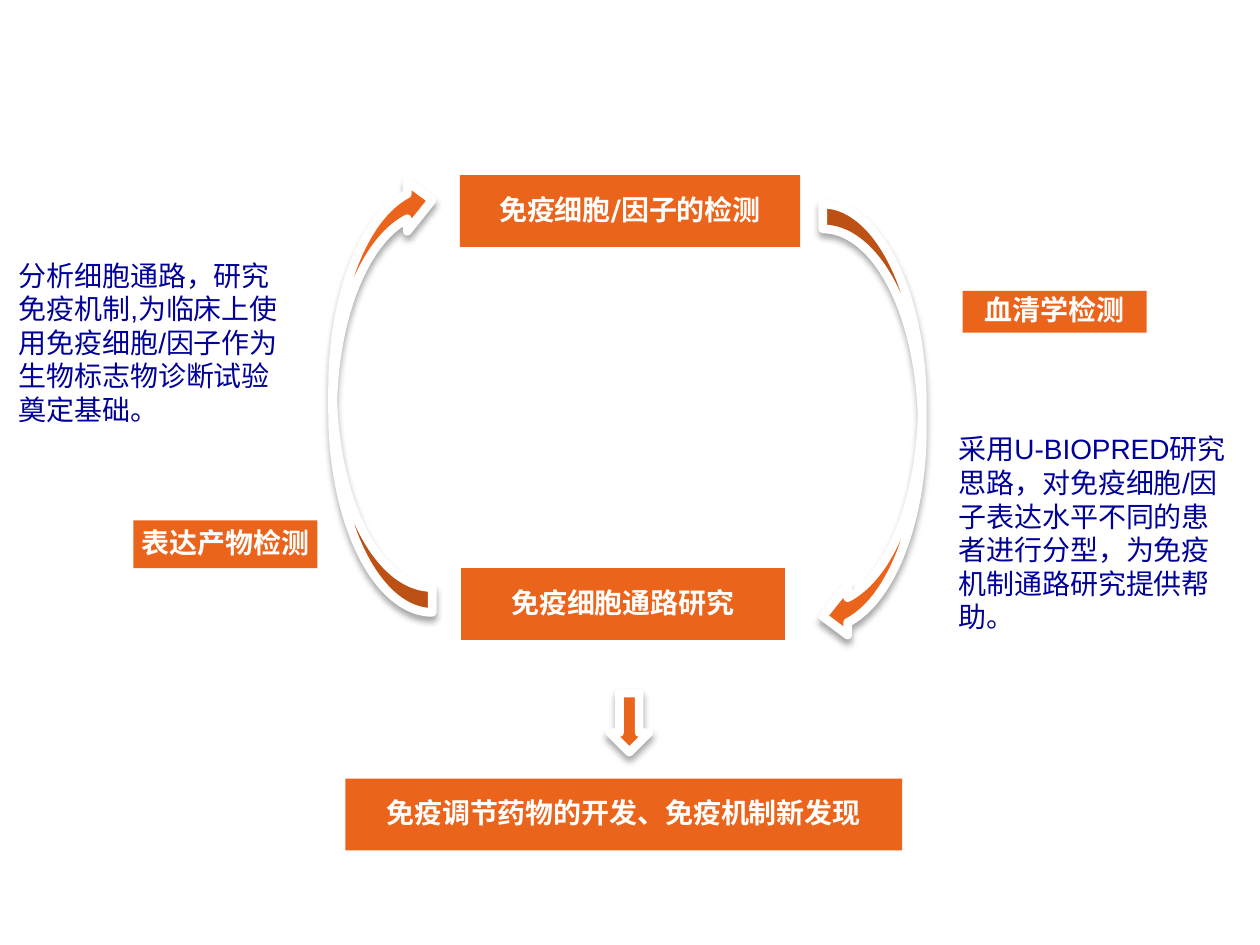
from typing import NamedTuple

from lxml.etree import SubElement
from pptx import Presentation
from pptx.dml.color import RGBColor
from pptx.enum.shapes import MSO_SHAPE as Shape
from pptx.enum.text import MSO_ANCHOR as Anchor, MSO_AUTO_SIZE as Auto, PP_ALIGN as Align
from pptx.oxml.ns import qn
from pptx.util import Inches, Pt

ORANGE, WHITE, NAVY, BLACK = "EB641B", "FFFFFF", "000099", "000000"


class Item(NamedTuple):
    x: float
    y: float
    w: float
    h: float
    text: str = ""


class Arrow(NamedTuple):
    kind: Shape
    x: float
    y: float
    w: float
    h: float
    turn: int = 0


BOXES = [
    Item(3.65, 1.39, 2.7, 0.57, "免疫细胞/因子的检测"),
    Item(3.66, 4.51, 2.57, 0.57, "免疫细胞通路研究"),
    Item(2.74, 6.18, 4.42, 0.57, "免疫调节药物的开发、免疫机制新发现"),
    Item(7.64, 2.31, 1.46, 0.33, "血清学检测"),
    Item(1.06, 4.13, 1.46, 0.38, "表达产物检测"),
]
ARROWS = [
    Arrow(Shape.CURVED_LEFT_ARROW, 2.64, 1.39, 0.79, 3.47, 180),
    Arrow(Shape.CURVED_LEFT_ARROW, 6.53, 1.62, 0.79, 3.47),
    Arrow(Shape.DOWN_ARROW, 4.84, 5.5, 0.31, 0.47),
]
NOTES = [
    Item(7.51, 3.38, 2.38, 1.7,
         "采用U-BIOPRED研究思路，对免疫细胞/因子表达水平不同的患者进行分型，为免疫机制通路研究提供帮助。"),
    Item(0.05, 2, 2.38, 1.43,
         "分析细胞通路，研究免疫机制,为临床上使用免疫细胞/因子作为生物标志物诊断试验奠定基础。"),
]

BOX_FONT = {"name": "DejaVu Sans", "size": Pt(16), "bold": True}
NOTE_FONT = {"name": "Arial", "size": Pt(16)}
BOX_FRAME = {
    "word_wrap": True, "vertical_anchor": Anchor.MIDDLE,
    **{f"margin_{side}": Inches(0.02) for side in ("left", "top", "right", "bottom")},
}
NOTE_FRAME = {"word_wrap": True, "auto_size": Auto.SHAPE_TO_FIT_TEXT}
BOX_PARA = {"alignment": Align.CENTER, "line_spacing": 0.9, "space_after": Pt(5.6)}


def rgb(code: str) -> RGBColor:
    return RGBColor.from_string(code)


def put(target, values: dict) -> None:
    for name, value in values.items():
        setattr(target, name, value)


def area(item) -> list:
    return [Inches(n) for n in (item.x, item.y, item.w, item.h)]


def write(shape, text: str, frame: dict, para: dict, font: dict, color: str) -> None:
    put(shape.text_frame, frame)
    line = shape.text_frame.paragraphs[0]
    put(line, para)
    run = line.add_run()
    run.text = text
    put(run.font, font)
    run.font.color.rgb = rgb(color)


def solid(slide, kind: Shape, item):
    shape = slide.shapes.add_shape(kind, *area(item))
    shape.shadow.inherit = False
    shape.fill.solid()
    shape.fill.fore_color.rgb = rgb(ORANGE)
    return shape


def add_box(slide, item: Item) -> None:
    shape = solid(slide, Shape.RECTANGLE, item)
    shape.line.fill.background()
    write(shape, item.text, BOX_FRAME, BOX_PARA, BOX_FONT, WHITE)


def add_arrow(slide, arrow: Arrow) -> None:
    shape = solid(slide, arrow.kind, arrow)
    shape.rotation = arrow.turn
    shape.line.color.rgb = rgb(WHITE)
    shape.line.width = Pt(5)
    # Soft shadow that always falls downwards
    effects = shape._element.spPr.find(qn("a:effectLst"))
    shade = SubElement(effects, qn("a:outerShdw"), blurRad=str(Pt(4)),
                       dist=str(Pt(3)), dir="5400000", rotWithShape="0")
    tone = SubElement(shade, qn("a:srgbClr"), val=BLACK)
    SubElement(tone, qn("a:alpha"), val="35000")


def add_note(slide, item: Item) -> None:
    shape = slide.shapes.add_textbox(*area(item))
    write(shape, item.text, NOTE_FRAME, {}, NOTE_FONT, NAVY)


def main() -> None:
    deck = Presentation()
    deck.slide_width, deck.slide_height = Inches(10), Inches(7.5)
    slide = deck.slides.add_slide(deck.slide_layouts[6])

    # Steps and labels, the cycle arrows, then the side notes
    for item in BOXES:
        add_box(slide, item)
    for arrow in ARROWS:
        add_arrow(slide, arrow)
    for item in NOTES:
        add_note(slide, item)

    deck.save("out.pptx")


if __name__ == "__main__":
    main()
